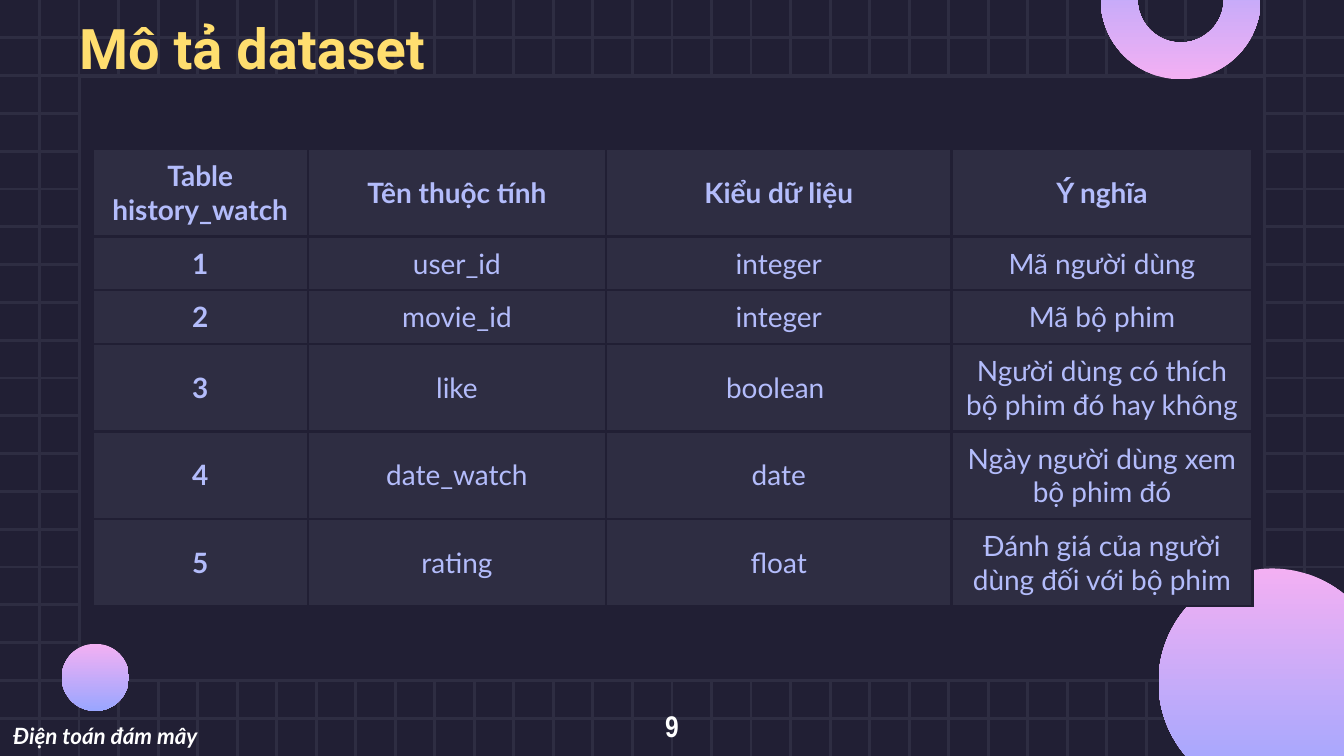
import pptx
import pptx.dml.color
import pptx.enum.shapes
import pptx.enum.text
import pptx.oxml
import pptx.oxml.ns
import pptx.util
from pptx.util import Inches

RGBColor = pptx.dml.color.RGBColor
NIGHT = RGBColor(0x21, 0x1F, 0x34)
SLATE = RGBColor(0x2E, 0x2D, 0x42)
PINK = RGBColor(0xF3, 0xB0, 0xF3)
PERIWINKLE = RGBColor(0x9A, 0xA6, 0xFF)
LAVENDER = RGBColor(0xB3, 0xBC, 0xFB)
YELLOW = RGBColor(0xFF, 0xDE, 0x6F)
WHITE = RGBColor(0xFF, 0xFF, 0xFF)

SHAPE = pptx.enum.shapes.MSO_SHAPE
ALIGN = pptx.enum.text.PP_ALIGN
MIDDLE = pptx.enum.text.MSO_ANCHOR.MIDDLE
TOP = pptx.enum.text.MSO_ANCHOR.TOP
LINE_WIDTH = pptx.util.Pt(1.5)
PAGE_WIDTH = 10
PAGE_HEIGHT = PAGE_WIDTH * 9 / 16


def add_run(para, text, font_name, size, color, bold=True, italic=False):
    span = para.add_run()
    span.text = text
    span.font.name = font_name
    span.font.size = pptx.util.Pt(size)
    span.font.color.rgb = color
    span.font.bold = bold
    span.font.italic = italic


deck = pptx.Presentation()
deck.slide_width = Inches(PAGE_WIDTH)
deck.slide_height = Inches(PAGE_HEIGHT)
page = deck.slides.add_slide(deck.slide_layouts[6])
page.background.fill.solid()
page.background.fill.fore_color.rgb = NIGHT

# Background grid: 20 rows and 34 columns
row_gap = PAGE_HEIGHT / 20
column_gap = PAGE_WIDTH / 34
grid_lines = [(0, row_gap * i, PAGE_WIDTH, row_gap * i) for i in range(1, 20)]
grid_lines += [(column_gap * i, 0, column_gap * i, PAGE_HEIGHT) for i in range(1, 34)]
for ends in grid_lines:
    grid_line = page.shapes.add_connector(
        pptx.enum.shapes.MSO_CONNECTOR.STRAIGHT, *[Inches(end) for end in ends])
    grid_line.line.color.rgb = SLATE
    grid_line.line.width = LINE_WIDTH
    grid_line._element.spPr.append(
        pptx.oxml.parse_xml(f'<a:effectLst {pptx.oxml.ns.nsdecls("a")}/>'))

panel = page.shapes.add_shape(
    SHAPE.RECTANGLE, Inches(0.59), Inches(0.57), Inches(8.82), Inches(4.49))
panel.shadow.inherit = False
panel.fill.solid()
panel.fill.fore_color.rgb = NIGHT
panel.line.color.rgb = SLATE
panel.line.width = LINE_WIDTH

# Gradient ornaments: kind, left, top, diameter
ornaments = [
    (SHAPE.OVAL, 0.46, 4.79, 0.5),
    (SHAPE.OVAL, 8.62, 4.23, 1.69),
    (SHAPE.BLOCK_ARC, 8.19, -0.6, 1.19),
]
for kind, left, top, diameter in ornaments:
    ornament = page.shapes.add_shape(
        kind, Inches(left), Inches(top), Inches(diameter), Inches(diameter))
    ornament.shadow.inherit = False
    ornament.line.fill.background()
    ornament.fill.gradient()
    ornament.fill.gradient_angle = 270
    for stop, color, position in zip(ornament.fill.gradient_stops, (PINK, PERIWINKLE), (0, 1)):
        stop.color.rgb = color
        stop.position = position
    if kind == SHAPE.BLOCK_ARC:
        ornament.rotation = 180
        for i, value in enumerate((108, 0.36, 0.23)):
            ornament.adjustments[i] = value

# Text boxes: place, anchor, alignment, line spacing, run
labels = [
    ((0.49, 0.1, 8.43, 0.5), MIDDLE, ALIGN.JUSTIFY, 1,
     ("Mô tả dataset", "Roboto", 30, YELLOW)),
    ((0, 5.24, 3.28, 0.36), MIDDLE, ALIGN.JUSTIFY, 1.5,
     ("Điện toán đám mây", "Lato", 12, WHITE, True, True)),
    ((4.75, 5.22, 0.5, 0.4), TOP, ALIGN.CENTER, 1,
     ("9", "Arial Narrow", 16, WHITE)),
]
for place, anchor, alignment, spacing, run in labels:
    box = page.shapes.add_textbox(*[Inches(length) for length in place])
    box.text_frame.word_wrap = True
    box.text_frame.vertical_anchor = anchor
    para = box.text_frame.paragraphs[0]
    para.alignment = alignment
    para.line_spacing = spacing
    add_run(para, *run)

rows = [
    ("Table history_watch", "Tên thuộc tính", "Kiểu dữ liệu", "Ý nghĩa"),
    ("1", "user_id", "integer", "Mã người dùng"),
    ("2", "movie_id", "integer", "Mã bộ phim"),
    ("3", "like", "boolean ", "Người dùng có thích bộ phim đó hay không"),
    ("4", "date_watch", "date", "Ngày người dùng xem bộ phim đó"),
    ("5", "rating", "float", "Đánh giá của người dùng đối với bộ phim"),
]
column_widths = [1.6, 2.22, 2.57, 2.24]
row_heights = [0.65, 0.4, 0.4, 0.65, 0.65, 0.65]
table = page.shapes.add_table(
    len(rows), len(column_widths), Inches(0.69), Inches(1.11),
    Inches(sum(column_widths)), Inches(sum(row_heights))).table
for column, width in zip(table.columns, column_widths):
    column.width = Inches(width)
for row, height in zip(table.rows, row_heights):
    row.height = Inches(height)

for r, texts in enumerate(rows):
    for c, text in enumerate(texts):
        cell = table.cell(r, c)
        cell.vertical_anchor = MIDDLE
        cell.margin_left = cell.margin_right = Inches(0.1)
        cell.margin_top = cell.margin_bottom = Inches(0.07)
        para = cell.text_frame.paragraphs[0]
        para.alignment = ALIGN.CENTER
        add_run(para, text, "Lato", 15, LAVENDER, bold=r == 0 or c == 0)
        properties = cell._tc.get_or_add_tcPr()
        for side in ("lnL", "lnR", "lnT", "lnB"):
            properties.append(pptx.oxml.parse_xml(
                f'<a:{side} {pptx.oxml.ns.nsdecls("a")} w="{LINE_WIDTH}">'
                f'<a:solidFill><a:srgbClr val="{NIGHT}"/></a:solidFill></a:{side}>'))
        cell.fill.solid()
        cell.fill.fore_color.rgb = SLATE

deck.save("out.pptx")
